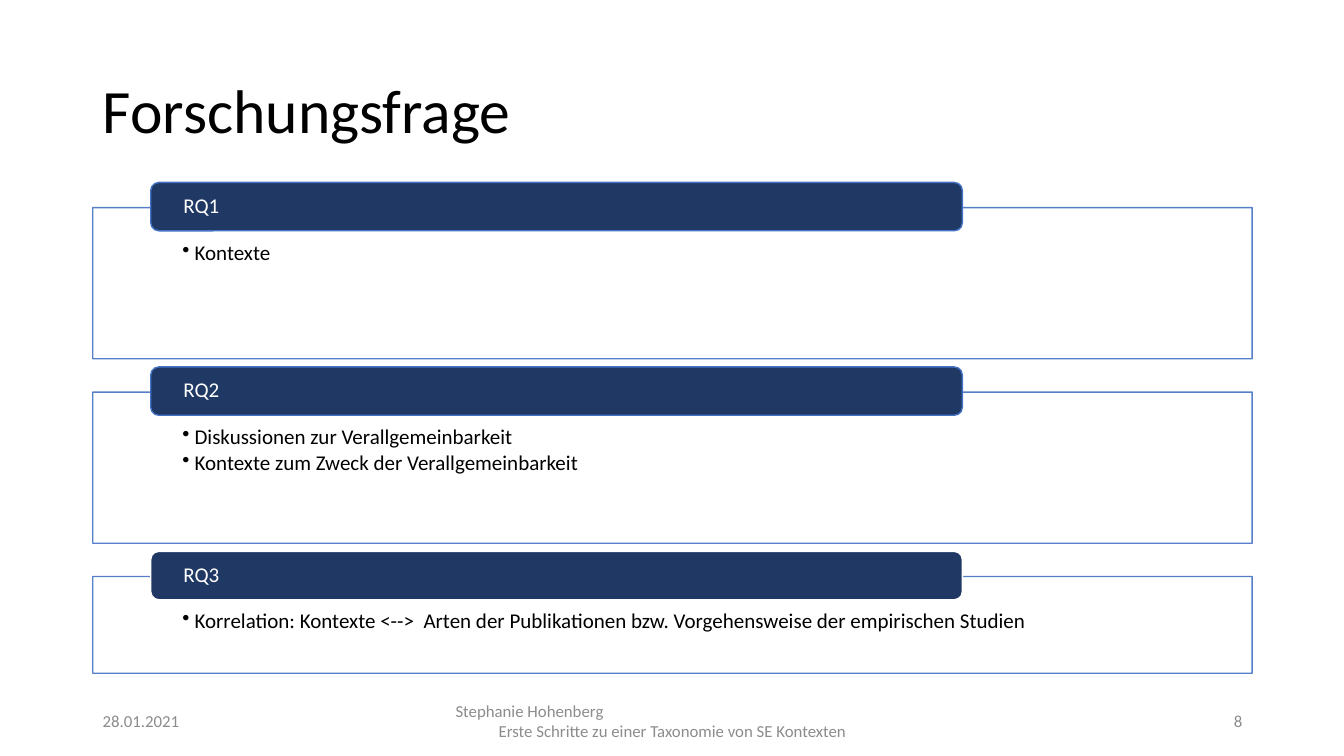
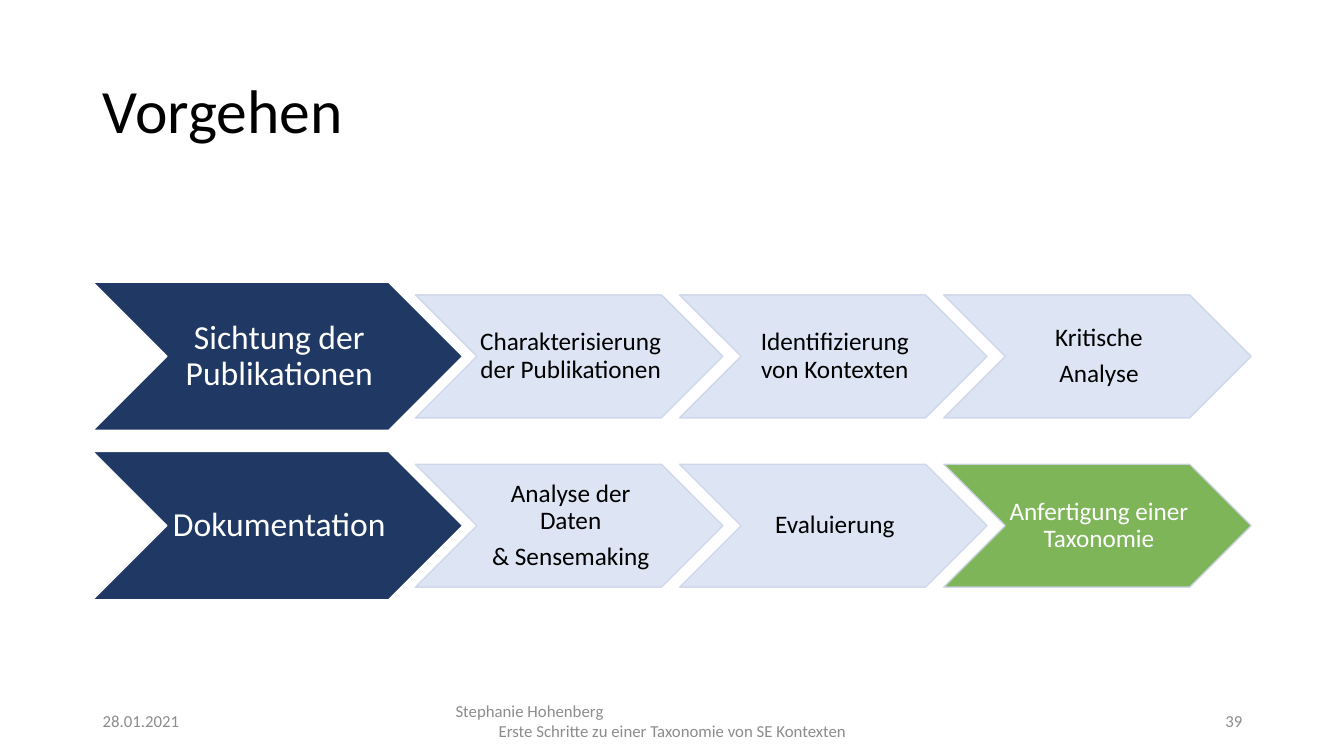
from lxml.etree import SubElement
from pptx import Presentation
from pptx.dml.color import RGBColor
from pptx.enum.shapes import MSO_SHAPE as SHAPE
from pptx.enum.text import MSO_ANCHOR as ANCHOR, MSO_AUTO_SIZE as AUTO, PP_ALIGN as ALIGN
from pptx.oxml.ns import qn
from pptx.util import Inches, Pt

FONT = "Calibri"
NAVY, BLUE, PALE, EDGE = "203864", "4472C4", "DAE3F3", "CFD5EA"
GREEN, GREY, BLACK, WHITE = "70AD47", "8C8C8C", "000000", "FFFFFF"
LEFT, WIDTH = 0.92, 11.5


def rgb(color):
    return RGBColor.from_string(color)


def set_frame(tf, anchor=ANCHOR.MIDDLE, ins=(0.1, 0.05, 0.1, 0.05)):
    tf.word_wrap = True
    tf.auto_size = AUTO.NONE
    tf.vertical_anchor = anchor
    tf.margin_left, tf.margin_top, tf.margin_right, tf.margin_bottom = map(Inches, ins)


def add_bullet(p):
    pPr = p._p.get_or_add_pPr()
    pPr.set("marL", str(Inches(0.12)))
    pPr.set("indent", str(-Inches(0.12)))
    SubElement(pPr, qn("a:buChar")).set("char", "•")


def write(tf, lines, size, color, align=ALIGN.LEFT, spacing=0.9, after=0, bullet=False):
    for i, line in enumerate(lines):
        p = tf.add_paragraph() if i else tf.paragraphs[0]
        if bullet:
            add_bullet(p)
        p.alignment = align
        p.line_spacing = spacing
        p.space_before = Pt(0)
        p.space_after = Pt(after)
        r = p.add_run()
        r.text = line
        r.font.name = FONT
        r.font.size = Pt(size)
        r.font.color.rgb = rgb(color)


def add_box(s, kind, box, fill, line, alpha=100):
    sp = s.shapes.add_shape(kind, *map(Inches, box))
    sp.shadow.inherit = False
    sp.fill.solid()
    sp.fill.fore_color.rgb = rgb(fill)
    sp.line.color.rgb = rgb(line)
    sp.line.width = Pt(1)
    if alpha < 100:
        for clr in sp._element.spPr.iter(qn("a:srgbClr")):
            SubElement(clr, qn("a:alpha")).set("val", str(alpha * 1000))
    return sp


def add_footer(s, number):
    top, height = 6.95, 0.4
    parts = [
        (LEFT, 3, [("28.01.2021", ALIGN.LEFT)]),
        (4.42, 4.5, [("Stephanie Hohenberg", ALIGN.LEFT),
                     ("Erste Schritte zu einer Taxonomie von SE Kontexten", ALIGN.CENTER)]),
        (9.42, 3, [(str(number), ALIGN.RIGHT)]),
    ]
    for left, width, lines in parts:
        tf = s.shapes.add_textbox(*map(Inches, (left, top, width, height))).text_frame
        set_frame(tf)
        write(tf, [text for text, _ in lines], 12, GREY, spacing=1.0)
        for p, (_, align) in zip(tf.paragraphs, lines):
            p.alignment = align


def add_slide(prs, title, number):
    s = prs.slides.add_slide(prs.slide_layouts[5])
    sp = s.shapes.title
    sp.left, sp.top, sp.width, sp.height = map(Inches, (LEFT, 0.4, WIDTH, 1.45))
    set_frame(sp.text_frame)
    write(sp.text_frame, [title], 44, BLACK)
    add_footer(s, number)
    return s


def add_question(s, box, label, points, tab_line):
    left, top, width, height = box
    body = add_box(s, SHAPE.RECTANGLE, box, WHITE, BLUE, 90)
    set_frame(body.text_frame, ANCHOR.TOP, (0.89, 0.34, 0.89, 0.12))
    write(body.text_frame, points, 15, BLACK, after=2.25, bullet=True)
    tab_box = (left + width * 0.05, top - 0.25, width * 0.7, 0.48)
    tab = add_box(s, SHAPE.ROUNDED_RECTANGLE, tab_box, NAVY, tab_line)
    set_frame(tab.text_frame, ins=(0.3, 0, 0.3, 0))
    write(tab.text_frame, [label], 15, WHITE)


def question_slide(prs):
    s = add_slide(prs, "Forschungsfrage", 8)
    questions = [
        (1.5, BLUE, ["Kontexte"]),
        (1.5, BLUE, ["Diskussionen zur Verallgemeinbarkeit",
                     "Kontexte zum Zweck der Verallgemeinbarkeit"]),
        (0.96, WHITE, ["Korrelation: Kontexte <-->  Arten der Publikationen "
                       "bzw. Vorgehensweise der empirischen Studien"]),
    ]
    top, gap = 2.06, 0.33
    for i, (height, tab_line, points) in enumerate(questions, 1):
        add_question(s, (LEFT, top, WIDTH, height), f"RQ{i}", points, tab_line)
        top += height + gap


def add_chevron(s, box, lines, size, fill, line, color, alpha=100):
    sp = add_box(s, SHAPE.CHEVRON, box, fill, line, alpha)
    set_frame(sp.text_frame, ins=(0.03, 0.01, 0, 0.01))
    write(sp.text_frame, lines, size, color, ALIGN.CENTER, after=size * 0.35)


def add_process(s, left, top, head, steps):
    head_h, step_h, pitch = 1.47, 1.22, 2.62
    add_chevron(s, (left, top, 3.67, head_h), [head], 24, NAVY, WHITE, WHITE)
    for i, (lines, fill, color) in enumerate(steps):
        box = (left + 3.2 + i * pitch, top + (head_h - step_h) / 2, 3.05, step_h)
        add_chevron(s, box, lines, 18, fill, EDGE, color, 90)


def process_slide(prs):
    s = add_slide(prs, "Vorgehen", 39)
    rows = [
        ("Sichtung der Publikationen", [
            (["Charakterisierung der Publikationen"], PALE, BLACK),
            (["Identifizierung von Kontexten"], PALE, BLACK),
            (["Kritische", "Analyse"], PALE, BLACK)]),
        ("Dokumentation", [
            (["Analyse der Daten", "& Sensemaking"], PALE, BLACK),
            (["Evaluierung"], PALE, BLACK),
            (["Anfertigung einer Taxonomie"], GREEN, WHITE)]),
    ]
    for i, (head, steps) in enumerate(rows):
        add_process(s, LEFT, 2.8 + i * 1.68, head, steps)


def main():
    prs = Presentation()
    prs.slide_width, prs.slide_height = Inches(13.33), Inches(7.5)
    question_slide(prs)
    process_slide(prs)
    prs.save("out.pptx")


if __name__ == "__main__":
    main()
